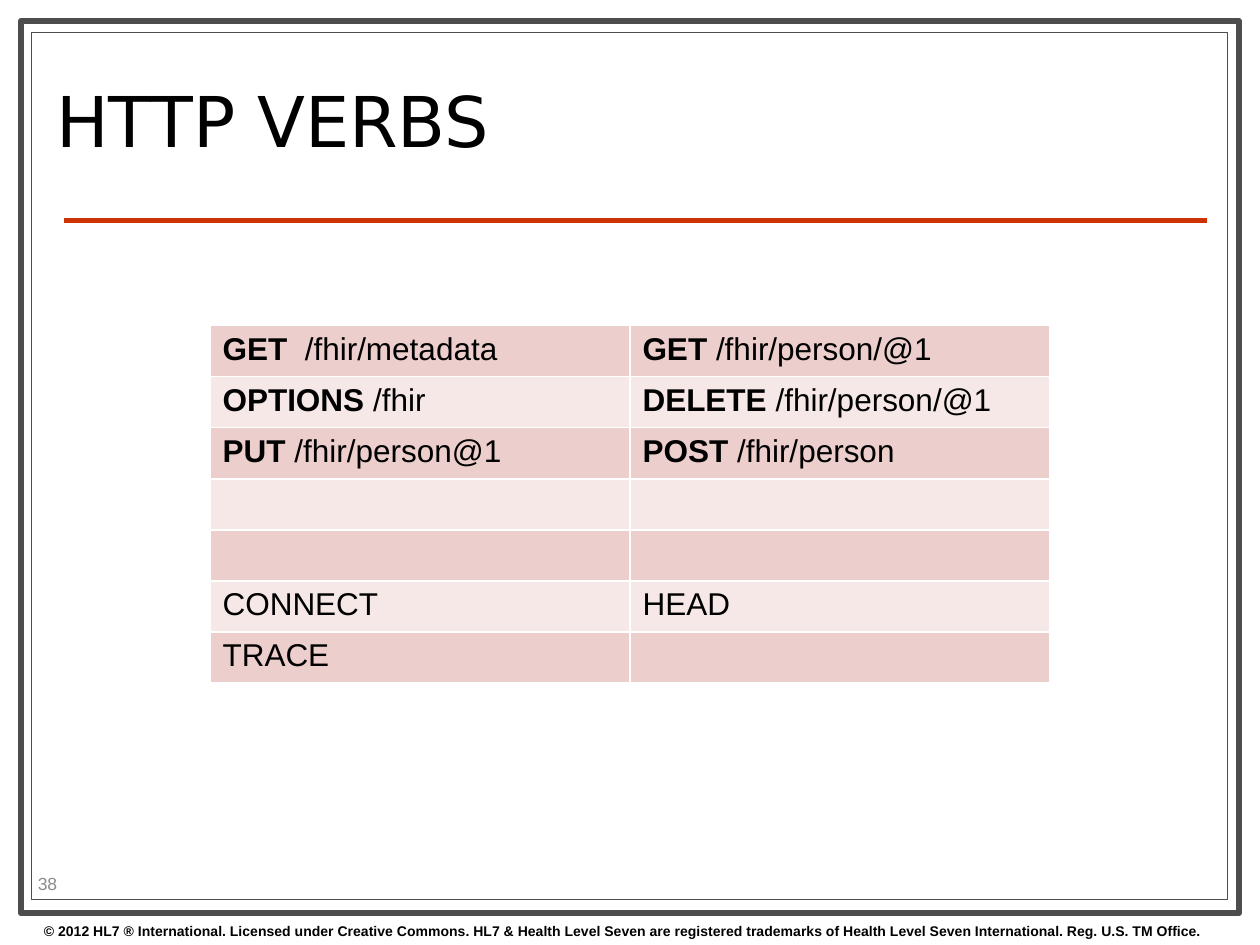
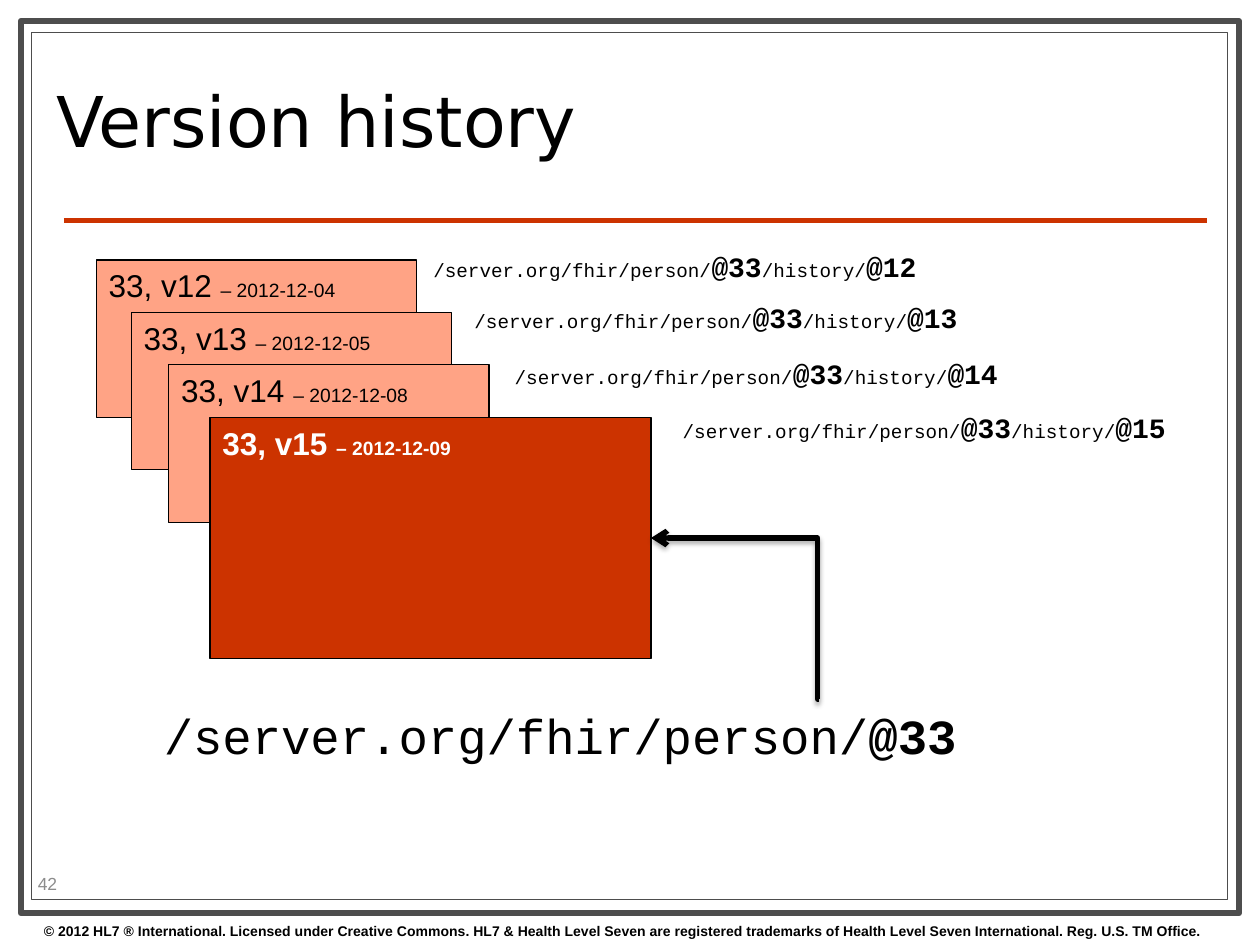
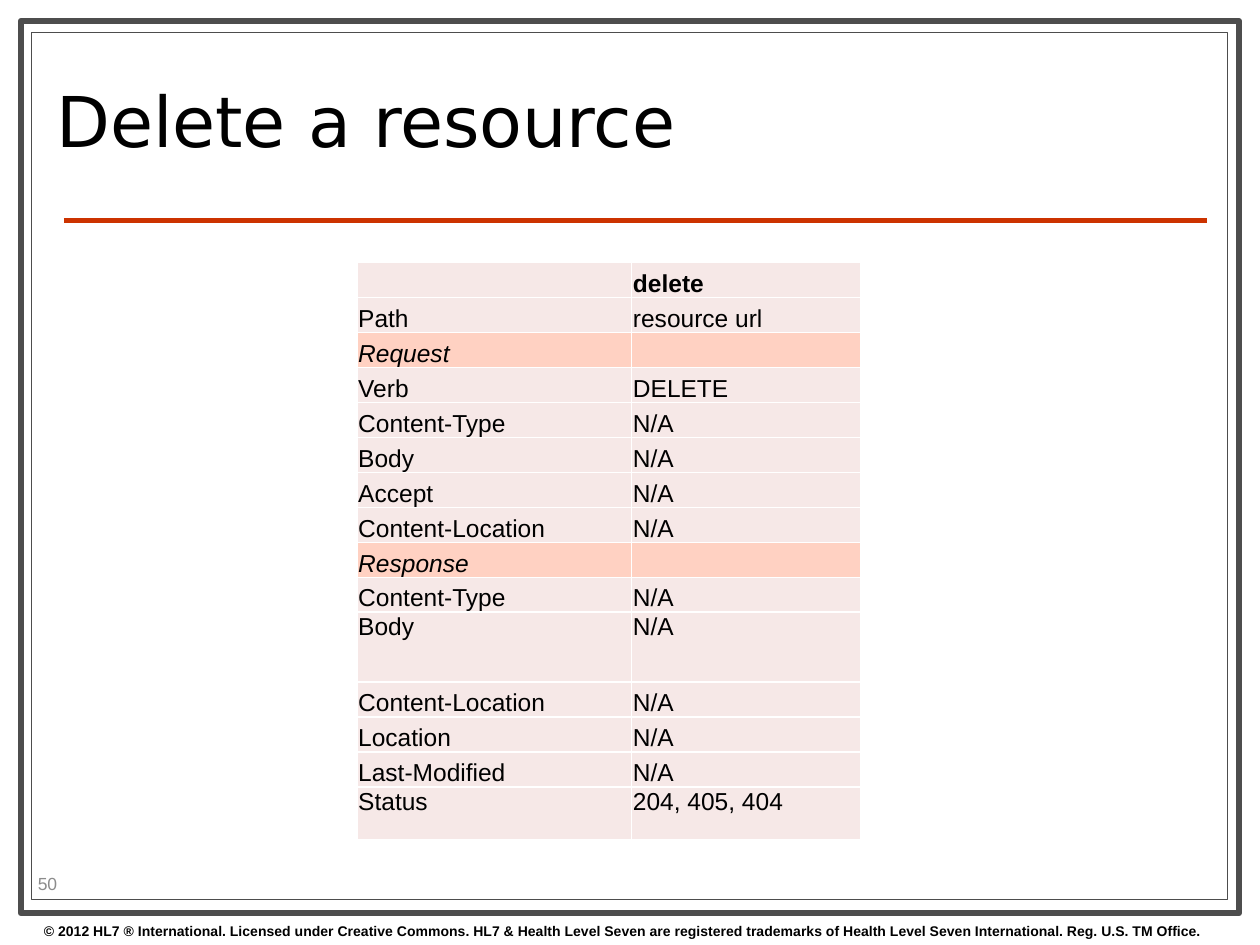
from dataclasses import dataclass

import lxml.etree
import pptx
import pptx.dml.color
import pptx.enum.shapes
import pptx.enum.text
import pptx.oxml
import pptx.oxml.ns
import pptx.util

Pt = pptx.util.Pt
qn = pptx.oxml.ns.qn
Anchor = pptx.enum.text.MSO_ANCHOR
RECTANGLE = pptx.enum.shapes.MSO_SHAPE.RECTANGLE
Connector = pptx.enum.shapes.MSO_CONNECTOR


@dataclass(frozen=True)
class Theme:
    ink: str = "000000"
    paper: str = "FFFFFF"
    frame: str = "4D4D4D"
    accent: str = "CC3300"
    old_version: str = "FFA385"
    band_dark: str = "ECCECC"
    band_light: str = "F6E8E7"
    section: str = "FFD1C2"
    muted: str = "8C8C8C"
    sans: str = "Arial"
    mono: str = "Courier New"
    heading: str = "DejaVu Sans"
    title_size: int = 40
    address_size: int = 28
    large: int = 18
    id_size: int = 16
    detail: int = 14
    small: int = 11
    number_size: int = 10
    footer_size: int = 8


THEME = Theme()

COPYRIGHT = (
    "© 2012 HL7 ® International. Licensed under Creative Commons. "
    "HL7 & Health Level Seven are registered trademarks of "
    "Health Level Seven International. Reg. U.S. TM Office."
)

VERBS = [
    (("GET", "  /fhir/metadata"), ("GET", " /fhir/person/@1")),
    (("OPTIONS", " /fhir"), ("DELETE", " /fhir/person/@1")),
    (("PUT", " /fhir/person@1"), ("POST", " /fhir/person")),
    (("", ""), ("", "")),
    (("", ""), ("", "")),
    (("", "CONNECT"), ("", "HEAD")),
    (("", "TRACE"), ("", "")),
]

PERSON_PATH = "/server.org/fhir/person/"
PERSON_ID = "@33"
VERSIONS = [
    ("12", "2012-12-04", 55, (240.5, 139)),
    ("13", "2012-12-05", 75, (264, 168)),
    ("14", "2012-12-08", 96.5, (287, 200)),
    ("15", "2012-12-09", 120, (383, 231)),
]

DELETE_ROWS = [
    ("", "delete"),
    ("Path", "resource url"),
    ("Request", ""),
    ("Verb", "DELETE"),
    ("Content-Type", "N/A"),
    ("Body", "N/A"),
    ("Accept", "N/A"),
    ("Content-Location", "N/A"),
    ("Response", ""),
    ("Content-Type", "N/A"),
    ("Body", "N/A"),
    ("Content-Location", "N/A"),
    ("Location", "N/A"),
    ("Last-Modified", "N/A"),
    ("Status", "204, 405, 404"),
]
SECTIONS = ("Request", "Response")
TALL_ROWS = {10: 40, 14: 30}


def rgb(color):
    return pptx.dml.color.RGBColor.from_string(color)


def box(left, top, width, height):
    return Pt(left), Pt(top), Pt(width), Pt(height)


def write(paragraph, runs, font=THEME.sans, color=THEME.ink):
    for text, size, bold, italic in runs:
        run = paragraph.add_run()
        run.text = text
        run.font.name = font
        run.font.size = Pt(size)
        run.font.bold = bold
        run.font.italic = italic
        run.font.color.rgb = rgb(color)


def add_text(slide, area, runs, anchor=Anchor.TOP, **style):
    frame = slide.shapes.add_textbox(*box(*area)).text_frame
    frame.word_wrap = True
    frame.vertical_anchor = anchor
    write(frame.paragraphs[0], runs, **style)


def add_rectangle(slide, area, fill, line, weight):
    rectangle = slide.shapes.add_shape(RECTANGLE, *box(*area))
    rectangle.shadow.inherit = False
    rectangle.fill.solid()
    rectangle.fill.fore_color.rgb = rgb(fill)
    rectangle.line.color.rgb = rgb(line)
    rectangle.line.width = Pt(weight)
    return rectangle


def add_line(slide, kind, start, end, color):
    line = slide.shapes.add_connector(kind, *map(Pt, start + end))
    line.line.color.rgb = rgb(color)
    line.line.width = Pt(3)
    effects = lxml.etree.SubElement(line._element.spPr, qn("a:effectLst"))
    return line, effects


def furnish_layout(layout, slide):
    title = layout.placeholders[0]
    title.left, title.top, title.width, title.height = box(25, 26, 516, 93)
    add_rectangle(slide, (12, 12, 696, 510), THEME.paper, THEME.frame, 3.5)
    add_rectangle(slide, (18, 18.5, 683.5, 495.5), THEME.paper, THEME.frame, 0.75)
    add_line(slide, Connector.STRAIGHT, (36.5, 126), (690, 126), THEME.accent)
    add_text(slide, (18, 523.5, 702, 16.5),
             [(COPYRIGHT, THEME.footer_size, True, False)])
    for part in list(slide.shapes)[1:]:
        title._element.addprevious(part._element)


def add_heading(slide, title, number):
    frame = slide.shapes.title.text_frame
    frame.auto_size = pptx.enum.text.MSO_AUTO_SIZE.NONE
    frame.vertical_anchor = Anchor.MIDDLE
    paragraph = frame.paragraphs[0]
    paragraph.alignment = pptx.enum.text.PP_ALIGN.LEFT
    paragraph.line_spacing = 0.8
    write(paragraph, [(title, THEME.title_size, False, False)], font=THEME.heading)
    add_text(slide, (14.5, 496, 57, 17.5),
             [(number, THEME.number_size, False, False)],
             anchor=Anchor.MIDDLE, color=THEME.muted)


def add_grid(slide, left, top, columns, rows):
    shape = slide.shapes.add_table(
        len(rows), len(columns), *box(left, top, sum(columns), sum(rows)))
    table = shape.table
    table.first_row = False
    table.horz_banding = False
    for column, width in zip(table.columns, columns):
        column.width = Pt(width)
    for row, height in zip(table.rows, rows):
        row.height = Pt(height)
    return table


def fill_cell(cell, color, runs, size):
    properties = cell._tc.get_or_add_tcPr()
    for side in ("lnL", "lnR", "lnT", "lnB"):
        border = lxml.etree.SubElement(properties, qn(f"a:{side}"), w=str(Pt(1)))
        solid = lxml.etree.SubElement(border, qn("a:solidFill"))
        lxml.etree.SubElement(solid, qn("a:srgbClr"), val=THEME.paper)
    cell.fill.solid()
    cell.fill.fore_color.rgb = rgb(color)
    paragraph = cell.text_frame.paragraphs[0]
    shown = [run for run in runs if run[0]]
    write(paragraph, shown)
    if not shown:
        lxml.etree.SubElement(paragraph._p, qn("a:endParaRPr"), sz=str(size * 100))


def draw_verbs(slide):
    table = add_grid(slide, 120, 186, [240, 240], [29.2] * len(VERBS))
    for r, row in enumerate(VERBS):
        band = THEME.band_light if r % 2 else THEME.band_dark
        for c, (verb, target) in enumerate(row):
            runs = [(verb, THEME.large, True, False),
                    (target, THEME.large, False, False)]
            fill_cell(table.cell(r, c), band, runs, THEME.large)


def draw_versions(slide):
    for i, (version, date, left, address) in enumerate(VERSIONS):
        current = i == len(VERSIONS) - 1
        size = (252, 138) if current else (183, 90)
        fill = THEME.accent if current else THEME.old_version
        card = add_rectangle(slide, (left, 148.5 + 30 * i, *size),
                             fill, THEME.ink, 0.75)
        card.text_frame.vertical_anchor = Anchor.TOP
        paragraph = card.text_frame.paragraphs[0]
        paragraph.alignment = pptx.enum.text.PP_ALIGN.LEFT
        write(paragraph,
              [(f"33, v{version} ", THEME.large, current, False),
               (f"– {date}", THEME.small, current, False)],
              color=THEME.paper if current else THEME.ink)
        add_text(slide, (*address, 295, 26.5),
                 [(PERSON_PATH, THEME.small, False, False),
                  (PERSON_ID, THEME.id_size, True, False),
                  ("/history/", THEME.small, False, False),
                  (f"@{version}", THEME.id_size, True, False)],
                 font=THEME.mono)
    add_text(slide, (86.5, 399.5, 495.5, 41),
             [(PERSON_PATH, THEME.address_size, False, False),
              (PERSON_ID, THEME.address_size, True, False)],
             font=THEME.mono)
    draw_current_arrow(slide)


def draw_current_arrow(slide):
    arrow, effects = add_line(slide, Connector.ELBOW, (468, 399.5), (372, 307.5),
                              THEME.ink)
    lxml.etree.SubElement(arrow.line._get_or_add_ln(), qn("a:tailEnd"), type="arrow")
    bend = arrow._element.spPr.find(qn("a:prstGeom")).find(qn("a:avLst"))
    lxml.etree.SubElement(bend, qn("a:gd"), name="adj1", fmla="val 800")
    shadow = lxml.etree.SubElement(
        effects, qn("a:outerShdw"), blurRad=str(Pt(3.1)), dist=str(Pt(1.8)),
        dir="5400000", rotWithShape="0")
    tint = lxml.etree.SubElement(shadow, qn("a:srgbClr"), val=THEME.ink)
    lxml.etree.SubElement(tint, qn("a:alpha"), val="35000")


def draw_delete(slide):
    heights = [TALL_ROWS.get(r, 20) for r in range(len(DELETE_ROWS))]
    table = add_grid(slide, 204, 150, [157, 131], heights)
    for r, row in enumerate(DELETE_ROWS):
        section = row[0] in SECTIONS
        color = THEME.section if section else THEME.band_light
        for c, text in enumerate(row):
            cell = table.cell(r, c)
            cell.margin_left = cell.margin_right = cell.margin_top = Pt(0.7)
            cell.margin_bottom = Pt(0)
            cell.vertical_anchor = Anchor.TOP if r in TALL_ROWS else Anchor.BOTTOM
            fill_cell(cell, color, [(text, THEME.detail, r == 0, section)],
                      THEME.detail)


SLIDES = [
    ("HTTP VERBS", "38", draw_verbs),
    ("Version history", "42", draw_versions),
    ("Delete a resource", "50", draw_delete),
]


def main():
    deck = pptx.Presentation()
    deck.slide_width, deck.slide_height = Pt(720), Pt(540)
    layout = deck.slide_layouts[5]
    for i, (title, number, draw) in enumerate(SLIDES):
        slide = deck.slides.add_slide(layout)
        if i == 0:
            furnish_layout(layout, slide)
        add_heading(slide, title, number)
        draw(slide)
    deck.save("out.pptx")


if __name__ == "__main__":
    main()
